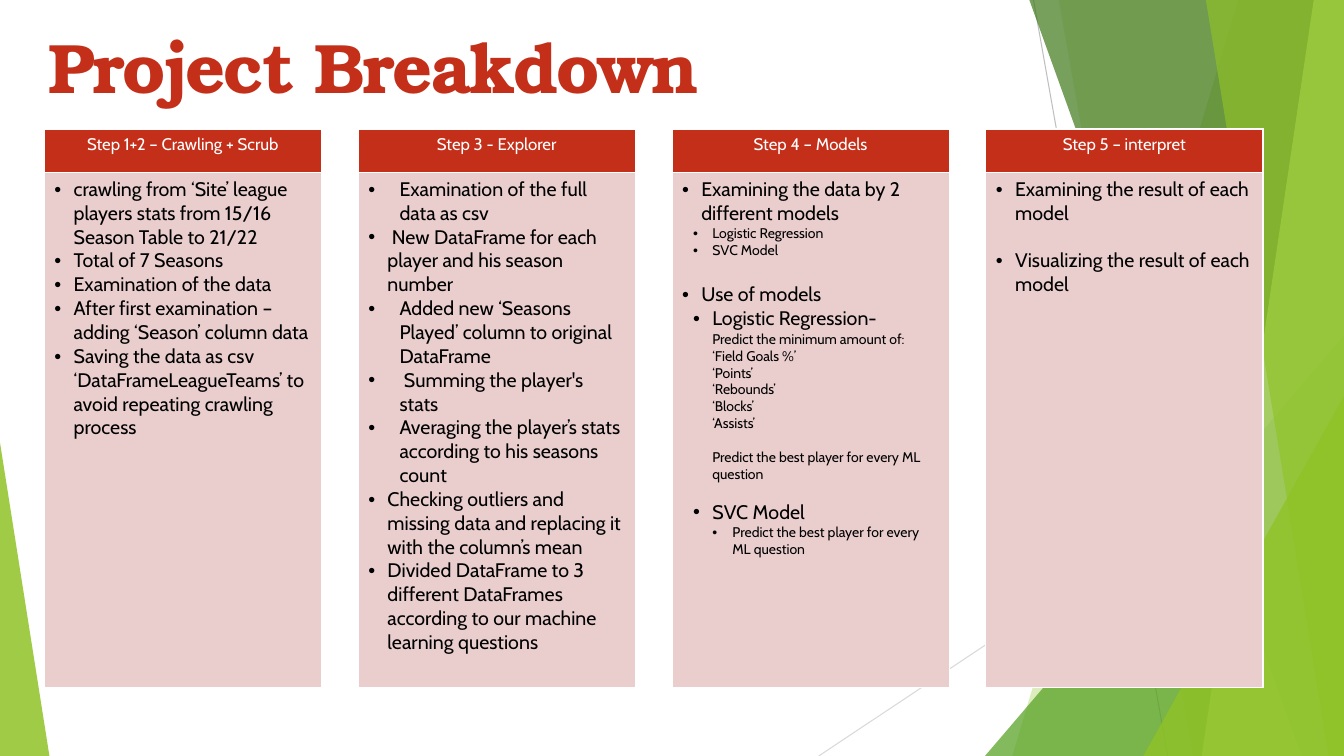
"""Build the Project Breakdown slide: four step panels over green facets."""
from lxml.etree import SubElement
from pptx import Presentation
from pptx.dml.color import RGBColor
from pptx.enum.shapes import MSO_CONNECTOR, MSO_SHAPE
from pptx.enum.text import PP_ALIGN
from pptx.oxml.ns import qn
from pptx.util import Inches, Pt

WIDTH, HEIGHT = Inches(13.33), Inches(7.5)
COLORS = {
    "red": "C42F1A", "pink": "EACDCD", "white": "FFFFFF", "black": "000000",
    "lime": "90C226", "leaf": "54A021", "forest": "3F7819", "pale": "C0E474",
    "gray": "BFBFBF", "silver": "D9D9D9",
}
BODY_FONT, TITLE_FONT = "Cabin", "TeX Gyre Bonum"
LEVELS = {
    "main": (1.43, -1.43, 14, True),
    "wide": (2.33, -2.33, 14, True),
    "sub": (2.25, -1.43, 14, True),
    "small": (2.25, -1.43, 10, True),
    "plain": (2.25, 0, 10, False),
    "deep": (3.75, -1.5, 10, True),
}
BANDS = [
    (92.12, 75.32, "lime", 30),
    (78.77, 88.75, "lime", 20),
    (76.59, 96.85, "forest", 70),
    (97.75, 89.42, "pale", 70),
    (89.72, 98.87, "lime", 65),
]
STEPS = [
    ("Step 1+2 – Crawling + Scrub", [
        ("main", "crawling from ‘Site’ league players stats from 15/16 Season Table to 21/22"),
        ("main", "Total of 7 Seasons"),
        ("main", "Examination of the data"),
        ("main", "After first examination – adding ‘Season’ column data"),
        ("main", "Saving the data as csv ‘DataFrameLeagueTeams’ to avoid repeating crawling process"),
    ]),
    ("Step 3 - Explorer", [
        ("wide", "Examination of the full data as csv"),
        ("main", " New DataFrame for each player and his season number"),
        ("wide", "Added new ‘Seasons Played’ column to original DataFrame"),
        ("wide", " Summing the player's stats"),
        ("wide", "Averaging the player’s stats according to his seasons count"),
        ("main", "Checking outliers and missing data and replacing it with the column’s mean"),
        ("main", "Divided DataFrame to 3 different DataFrames according to our machine "
                 "learning questions"),
    ]),
    ("Step 4 – Models", [
        ("main", "Examining the data by 2 different models"),
        ("small", "Logistic Regression"),
        ("small", "SVC Model"),
        ("main", "Use of models", 17),
        ("sub", "Logistic Regression-"),
        ("plain", "Predict the minimum amount of:"),
        ("plain", "‘Field Goals %’"),
        ("plain", "‘Points’"),
        ("plain", "‘Rebounds’"),
        ("plain", "‘Blocks’"),
        ("plain", "‘Assists’"),
        ("plain", "Predict the best player for every ML question", 12),
        ("sub", "SVC Model", 12),
        ("deep", "Predict the best player for every ML question"),
    ]),
    ("Step 5 – interpret", [
        ("main", "Examining the result of each model"),
        ("main", "Visualizing the result of each model", 17),
    ]),
]


def across(percent):
    """Return a percentage of the slide width."""
    return int(WIDTH * percent / 100)


def down(percent):
    """Return a percentage of the slide height."""
    return int(HEIGHT * percent / 100)


def rgb(name):
    """Look up a named colour."""
    return RGBColor.from_string(COLORS[name])


def add_solid(parent, name):
    """Append a solid fill to a drawing element."""
    fill = SubElement(parent, qn("a:solidFill"))
    SubElement(fill, qn("a:srgbClr"), val=COLORS[name])


def style_font(font, size, color, face=BODY_FONT, bold=False):
    """Set the face, size, weight and colour of a font."""
    font.name, font.size, font.bold = face, Pt(size), bold
    font.color.rgb = rgb(color)


def paint_facet(facet, color, opacity):
    """Give a facet a translucent fill and no outline."""
    facet.shadow.inherit = False
    facet.fill.solid()
    facet.fill.fore_color.rgb = rgb(color)
    facet.line.fill.background()
    tint = facet.fill._xPr.find(qn("a:solidFill"))[0]
    SubElement(tint, qn("a:alpha"), val=str(opacity * 1000))


def add_ray(slide, start, end, color):
    """Draw a thin line between two points."""
    ray = slide.shapes.add_connector(
        MSO_CONNECTOR.STRAIGHT, across(start[0]), down(start[1]), across(end[0]), down(end[1]))
    ray.line.color.rgb = rgb(color)
    ray.line.width = Pt(0.75)
    SubElement(ray._element.spPr, qn("a:effectLst"))


def add_band(slide, top, bottom, color, opacity):
    """Fill from a slanted left edge to the right side of the slide."""
    outline = slide.shapes.build_freeform(across(top), 0)
    outline.add_line_segments([(WIDTH, 0), (WIDTH, HEIGHT), (across(bottom), HEIGHT)])
    paint_facet(outline.convert_to_shape(), color, opacity)


def add_corner(slide, left, top, width, apex, color, opacity):
    """Add a right triangle standing on the bottom edge."""
    corner = slide.shapes.add_shape(
        MSO_SHAPE.ISOSCELES_TRIANGLE, across(left), down(top), across(width), down(100 - top))
    corner.adjustments[0] = apex
    paint_facet(corner, color, opacity)


def add_backdrop(slide):
    """Draw the green facets behind the content."""
    add_ray(slide, (76.9, 0), (86.88, 100), "gray")
    add_ray(slide, (100, 53.73), (60.92, 100), "silver")
    for band in BANDS[:2]:
        add_band(slide, *band)
    add_corner(slide, 73.29, 44.4, 26.71, 1, "leaf", 72)
    for band in BANDS[2:]:
        add_band(slide, *band)
    add_corner(slide, 85.07, 52.4, 14.93, 1, "lime", 80)
    add_corner(slide, 0, 58.53, 3.68, 0, "lime", 85)


def add_title(slide, wording):
    """Add the heading with tight letters and a white outline."""
    heading = slide.shapes.add_textbox(across(2.85), down(2.4), across(70.52), down(19.2))
    heading.text_frame.word_wrap = True
    run = heading.text_frame.paragraphs[0].add_run()
    run.text = wording
    style_font(run.font, 50, "red", TITLE_FONT, True)
    letters = run.font._element
    letters.set("spc", "-150")
    edge = SubElement(letters, qn("a:ln"), w=str(Pt(0.75)))
    add_solid(edge, "white")
    letters.insert(0, edge)


def style_cell(cell, color):
    """Fill a cell and give it white borders."""
    borders = cell._tc.get_or_add_tcPr()
    for side in ("lnL", "lnR", "lnT", "lnB"):
        add_solid(SubElement(borders, qn(f"a:{side}"), w=str(Pt(1))), "white")
    cell.fill.solid()
    cell.fill.fore_color.rgb = rgb(color)


def write_item(paragraph, level, wording, gap=0):
    """Write one item with the indent and bullet of its level."""
    margin, hanging, size, bulleted = LEVELS[level]
    paragraph.text = wording
    paragraph.space_before = Pt(gap)
    layout = paragraph._p.get_or_add_pPr()
    layout.set("marL", str(across(margin)))
    layout.set("indent", str(across(hanging)))
    if bulleted:
        SubElement(layout, qn("a:buFont"), typeface="Arial")
        SubElement(layout, qn("a:buChar"), char="•")
    style_font(paragraph.font, size, "black")


def add_step(slide, column, header, items):
    """Add one step panel as a two-row table."""
    panel = slide.shapes.add_table(
        2, 1, across(3.3 + 23.35 * column), down(17.07), across(20.63), down(73.87)).table
    panel.rows[0].height, panel.rows[1].height = down(5.73), down(68.14)
    head, body = panel.cell(0, 0), panel.cell(1, 0)
    style_cell(head, "red")
    style_cell(body, "pink")
    caption = head.text_frame.paragraphs[0]
    caption.text, caption.alignment = header, PP_ALIGN.CENTER
    style_font(caption.font, 12, "white")
    for number, item in enumerate(items):
        frame = body.text_frame
        write_item(frame.add_paragraph() if number else frame.paragraphs[0], *item)


def main():
    """Assemble and save the slide."""
    deck = Presentation()
    deck.slide_width, deck.slide_height = WIDTH, HEIGHT
    slide = deck.slides.add_slide(deck.slide_layouts[6])
    add_backdrop(slide)
    add_title(slide, "Project Breakdown")
    for column, (header, items) in enumerate(STEPS):
        add_step(slide, column, header, items)
    deck.save("out.pptx")


main()
